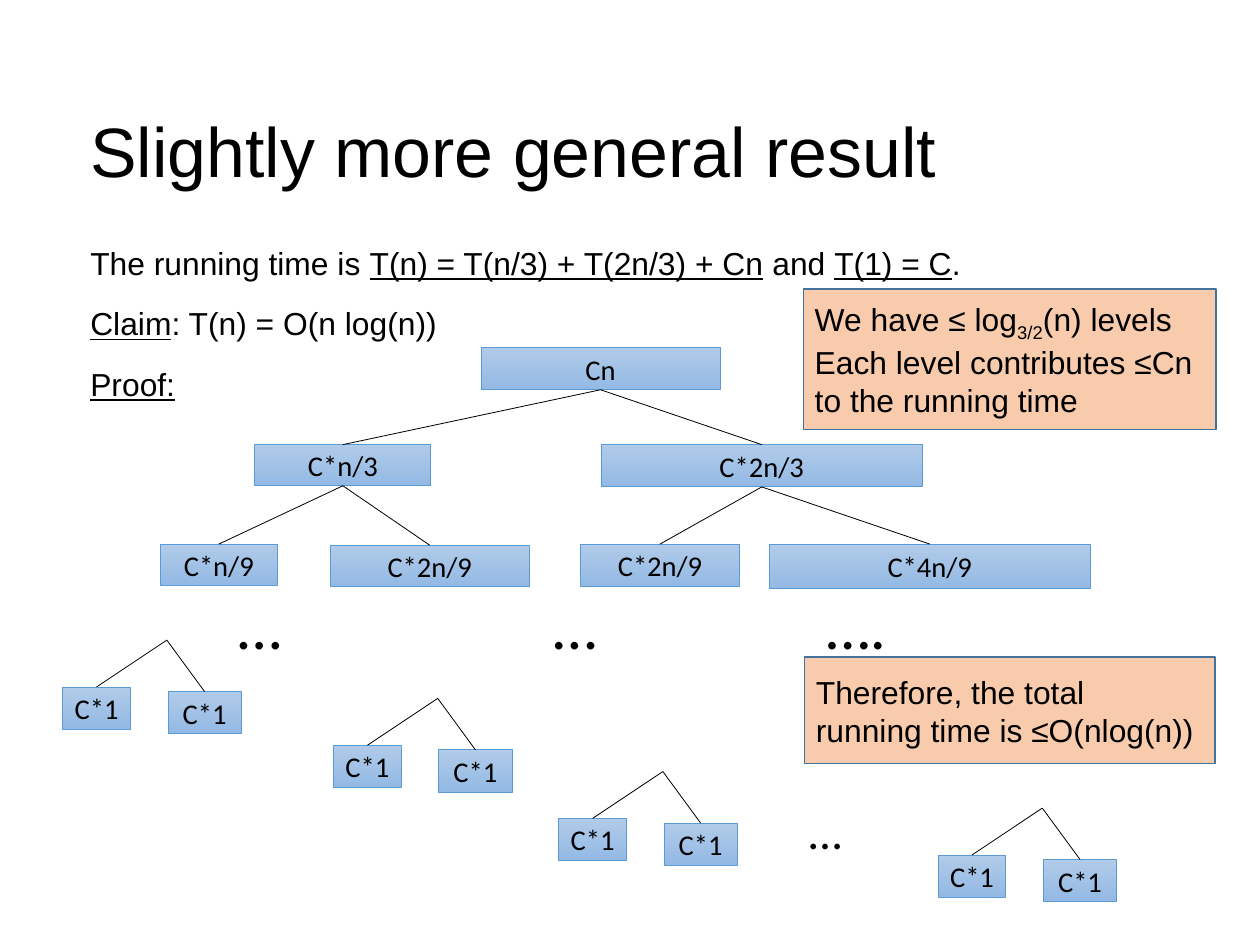
from lxml.etree import SubElement
from pptx import Presentation
from pptx.dml.color import RGBColor
from pptx.enum.shapes import MSO_CONNECTOR as Connector, MSO_SHAPE as Preset
from pptx.enum.text import MSO_ANCHOR as Anchor, MSO_AUTO_SIZE as AutoSize, PP_ALIGN as Align
from pptx.oxml.ns import qn
from pptx.util import Emu, Inches, Pt

SLIDE_WIDTH = Emu(10080625)
SLIDE_HEIGHT = Emu(7559675)
BLACK = RGBColor(0x00, 0x00, 0x00)
NODE_TOP = RGBColor(0xB1, 0xCB, 0xE9)
NODE_BOTTOM = RGBColor(0x93, 0xB9, 0xE4)
NODE_LINE = RGBColor(0x5B, 0x9B, 0xD5)
PEACH = RGBColor(0xF8, 0xCB, 0xAD)
CALLOUT_LINE = RGBColor(0x43, 0x72, 0x9D)
HEADING = "Arial"
TREE = "Calibri"
BOTTOM_SITE, TOP_SITE = 2, 0

COST_NODES = {
    "root": ("Cn", 4.21, 3.04, 2.09, 0.37),
    "left": ("C*n/3", 2.23, 3.89, 1.54, 0.36),
    "right": ("C*2n/3", 5.26, 3.89, 2.81, 0.37),
    "left left": ("C*n/9", 1.4, 4.76, 1.03, 0.36),
    "left right": ("C*2n/9", 2.89, 4.77, 1.74, 0.36),
    "right left": ("C*2n/9", 5.08, 4.76, 1.39, 0.37),
    "right right": ("C*4n/9", 6.73, 4.76, 2.81, 0.39),
}
BRANCHES = [
    ("root", "left"), ("root", "right"),
    ("left", "left left"), ("left", "left right"),
    ("right", "right left"), ("right", "right right"),
]
LEAF_PAIRS = [(0.55, 5.6), (2.92, 6.11), (4.89, 6.75), (8.21, 7.07)]


def add_run(paragraph, text, size, font=HEADING, underline=None):
    run = paragraph.add_run()
    run.text = text
    run.font.size = Pt(size)
    run.font.name = font
    run.font.color.rgb = BLACK
    run.font.underline = underline
    return run


def set_margins(frame, horizontal, vertical):
    frame.margin_left = frame.margin_right = Inches(horizontal)
    frame.margin_top = frame.margin_bottom = Inches(vertical)


def add_title(slide, left, top, width, height):
    title = slide.shapes.title
    title.left, title.top = Inches(left), Inches(top)
    title.width, title.height = Inches(width), Inches(height)
    frame = title.text_frame
    frame.auto_size = AutoSize.NONE
    frame.vertical_anchor = Anchor.MIDDLE
    set_margins(frame, 0, 0)
    paragraph = frame.paragraphs[0]
    paragraph.alignment = Align.LEFT
    add_run(paragraph, "Slightly more general result", 44)


def add_text_box(slide, left, top, width, height, wrap=True):
    box = slide.shapes.add_textbox(Inches(left), Inches(top), Inches(width), Inches(height))
    box.text_frame.word_wrap = wrap
    return box.text_frame


def add_statement(slide, left, top, width, height):
    frame = add_text_box(slide, left, top, width, height)
    set_margins(frame, 0, 0)
    lines = [
        [("The running time is ", False), ("T(n) = T(n/3) + T(2n/3) + Cn", True),
         (" and ", False), ("T(1) = C", True), (".", False)],
        [("Claim", True), (": T(n) = O(n log(n))", False)],
        [("Proof:", True)],
    ]
    for index, line in enumerate(lines):
        paragraph = frame.add_paragraph() if index else frame.paragraphs[0]
        paragraph.space_after = Pt(14.2)
        for text, underline in line:
            add_run(paragraph, text, 20, underline=underline)


def add_rectangle(slide, left, top, width, height, line_color, line_width):
    shape = slide.shapes.add_shape(
        Preset.RECTANGLE, Inches(left), Inches(top), Inches(width), Inches(height))
    shape.shadow.inherit = False
    shape.line.color.rgb = line_color
    shape.line.width = Pt(line_width)
    shape.text_frame.vertical_anchor = Anchor.MIDDLE
    return shape


def add_node(slide, label, left, top, width, height):
    shape = add_rectangle(slide, left, top, width, height, NODE_LINE, 0.5)
    shape.fill.gradient()
    shape.fill.gradient_angle = 270
    for stop, color, position in zip(
            shape.fill.gradient_stops, (NODE_TOP, NODE_BOTTOM), (0, 1)):
        stop.color.rgb = color
        stop.position = position
    frame = shape.text_frame
    frame.word_wrap = True
    set_margins(frame, 0, 0)
    paragraph = frame.paragraphs[0]
    paragraph.alignment = Align.CENTER
    add_run(paragraph, label, 18, TREE)
    return shape


def add_branch(slide, child, parent=None, apex=(0, 0)):
    start_x, start_y = (Inches(value) for value in apex)
    connector = slide.shapes.add_connector(
        Connector.STRAIGHT, start_x, start_y, child.left, child.top)
    if parent is not None:
        connector.begin_connect(parent, BOTTOM_SITE)
    connector.end_connect(child, TOP_SITE)
    connector.line.color.rgb = BLACK
    connector.line.width = Pt(0.5)
    SubElement(connector._element.spPr, qn("a:effectLst"))


def add_cost_tree(slide):
    nodes = {name: add_node(slide, *node) for name, node in COST_NODES.items()}
    for parent, child in BRANCHES:
        add_branch(slide, nodes[child], nodes[parent])


def add_leaf_pair(slide, left, top):
    for offset, drop, width in ((0, 0.41, 0.59), (0.92, 0.45, 0.64)):
        leaf = add_node(slide, "C*1", left + offset, top + drop, width, 0.37)
        add_branch(slide, leaf, apex=(left + 0.91, top))


def add_level_ellipses(slide, left, top, width, height):
    paragraph = add_text_box(slide, left, top, width, height).paragraphs[0]
    tab_list = SubElement(paragraph._p.get_or_add_pPr(), qn("a:tabLst"))
    for position in (2.76, 5.15):
        SubElement(tab_list, qn("a:tab"), pos=str(Inches(position)), algn="l")
    add_run(paragraph, "…\t…\t….", 40, TREE)


def add_leaf_ellipsis(slide, left, top, width, height):
    frame = add_text_box(slide, left, top, width, height, wrap=False)
    add_run(frame.paragraphs[0], "…", 30, TREE)


def add_callout(slide, left, top, width, height):
    shape = add_rectangle(slide, left, top, width, height, CALLOUT_LINE, 1)
    shape.fill.solid()
    shape.fill.fore_color.rgb = PEACH
    frame = shape.text_frame
    frame.word_wrap = True
    set_margins(frame, 0.1, 0.05)
    frame.paragraphs[0].alignment = Align.LEFT
    return frame


def add_levels_callout(slide, left, top, width, height):
    frame = add_callout(slide, left, top, width, height)
    levels = frame.paragraphs[0]
    add_run(levels, "We have ≤ log", 20)
    base = add_run(levels, "3/2", 20)
    base.font._element.set("baseline", "-25000")
    add_run(levels, "(n) levels", 20)
    cost = frame.add_paragraph()
    cost.alignment = Align.LEFT
    add_run(cost, "Each level contributes ≤Cn to the running time", 20)


def add_total_callout(slide, left, top, width, height):
    paragraph = add_callout(slide, left, top, width, height).paragraphs[0]
    add_run(paragraph, "Therefore, the total", 20)
    paragraph.add_line_break()
    add_run(paragraph, "running time is ≤O(nlog(n))", 20)


def main():
    presentation = Presentation()
    presentation.slide_width = SLIDE_WIDTH
    presentation.slide_height = SLIDE_HEIGHT
    slide = presentation.slides.add_slide(presentation.slide_layouts[5])
    add_title(slide, 0.79, 0.75, 9.25, 1.12)
    add_statement(slide, 0.79, 2.13, 9.68, 5.21)
    add_cost_tree(slide)
    for pair in LEAF_PAIRS:
        add_leaf_pair(slide, *pair)
    add_leaf_ellipsis(slide, 6.98, 6.97, 0.49, 0.61)
    add_level_ellipses(slide, 1.98, 5.08, 7.15, 0.77)
    add_levels_callout(slide, 7.03, 2.53, 3.61, 1.23)
    add_total_callout(slide, 7.04, 5.75, 3.59, 0.93)
    presentation.save("out.pptx")


if __name__ == "__main__":
    main()
